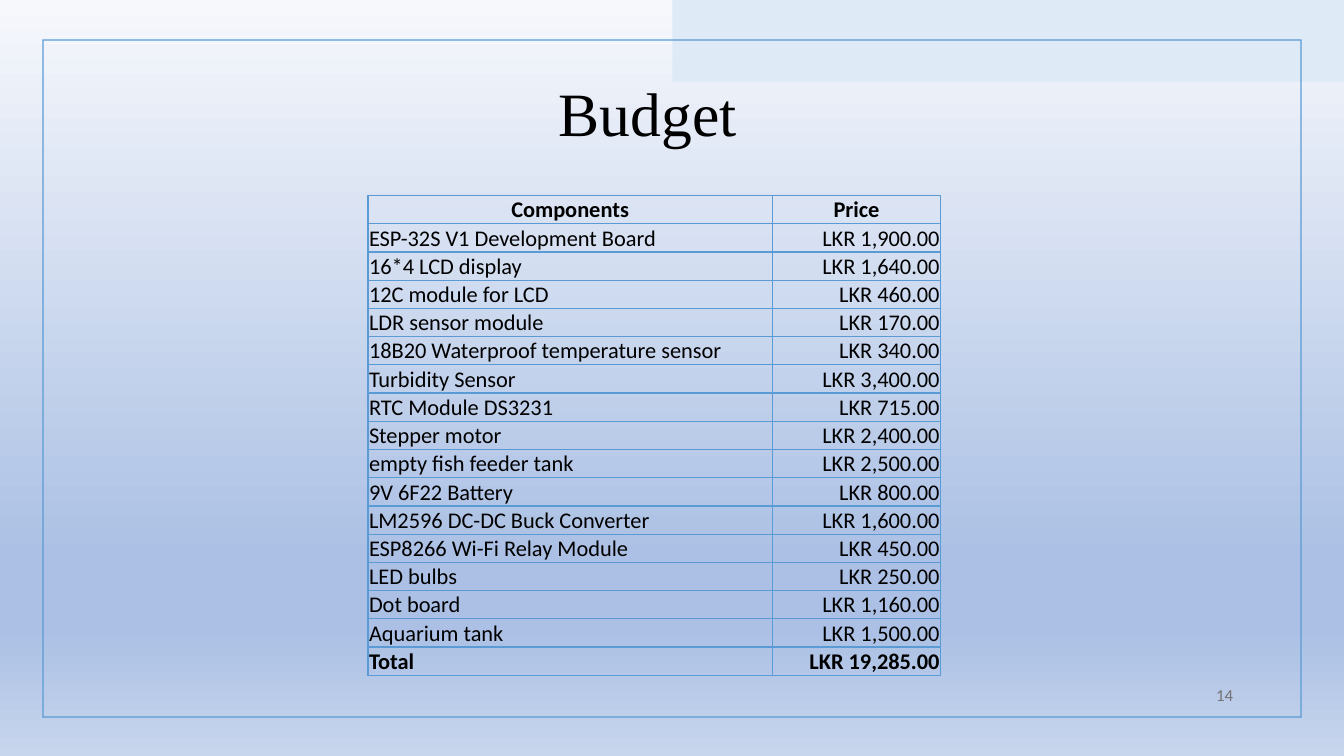
from pptx import Presentation
from pptx.dml.color import RGBColor
from pptx.enum.shapes import MSO_SHAPE
from pptx.enum.text import MSO_ANCHOR, MSO_AUTO_SIZE, PP_ALIGN
from pptx.oxml.ns import qn
from pptx.util import Inches, Pt
from lxml import etree

RECT, FRAME = MSO_SHAPE.RECTANGLE, MSO_SHAPE.FRAME
TOP, MIDDLE, BOTTOM = MSO_ANCHOR.TOP, MSO_ANCHOR.MIDDLE, MSO_ANCHOR.BOTTOM
LEFT, CENTER, RIGHT = PP_ALIGN.LEFT, PP_ALIGN.CENTER, PP_ALIGN.RIGHT
GROW = MSO_AUTO_SIZE.SHAPE_TO_FIT_TEXT
TITLE_ONLY = 5

BLACK = RGBColor(0x00, 0x00, 0x00)
GRAY = RGBColor(0x76, 0x71, 0x71)
BLUE = RGBColor(0x5B, 0x9B, 0xD5)
PALE_BLUE = RGBColor(0xDE, 0xEB, 0xF7)
BACKGROUND = [
    (0, RGBColor(0xF6, 0xF8, 0xFC)),
    (74, RGBColor(0xAB, 0xC0, 0xE4)),
    (83, RGBColor(0xAB, 0xC0, 0xE4)),
    (100, RGBColor(0xC7, 0xD5, 0xED)),
]

BUDGET = [
    ("Components", "Price"),
    ("ESP-32S V1 Development Board", "LKR 1,900.00"),
    ("16*4 LCD display", "LKR 1,640.00"),
    ("12C module for LCD", "LKR 460.00"),
    ("LDR sensor module", "LKR 170.00"),
    ("18B20 Waterproof temperature sensor", "LKR 340.00"),
    ("Turbidity Sensor", "LKR 3,400.00"),
    ("RTC Module DS3231", "LKR 715.00"),
    ("Stepper motor", "LKR 2,400.00"),
    ("empty fish feeder tank", "LKR 2,500.00"),
    ("9V 6F22 Battery", "LKR 800.00"),
    ("LM2596 DC-DC Buck Converter", "LKR 1,600.00"),
    ("ESP8266 Wi-Fi Relay Module", "LKR 450.00"),
    ("LED bulbs", "LKR 250.00"),
    ("Dot board", "LKR 1,160.00"),
    ("Aquarium tank", "LKR 1,500.00"),
    ("Total", "LKR 19,285.00"),
]


class SlideBuilder:
    heading_font = "Times New Roman"
    body_font = "Calibri"

    def __init__(self, prs):
        self.s = prs.slides.add_slide(prs.slide_layouts[TITLE_ONLY])

    def background(self, stops):
        fill = self.s.background.fill
        fill.gradient()
        fill.gradient_angle = 270
        stop_list = self.s._element.find(".//" + qn("a:gsLst"))
        for old in list(stop_list):
            stop_list.remove(old)
        for percent, color in stops:
            stop = etree.SubElement(stop_list, qn("a:gs"), pos=str(percent * 1000))
            etree.SubElement(stop, qn("a:srgbClr"), val=str(color))

    def shape(self, kind, x, y, w, h, color):
        sp = self.s.shapes.add_shape(kind, Inches(x), Inches(y), Inches(w), Inches(h))
        sp.shadow.inherit = False
        sp.fill.solid()
        sp.fill.fore_color.rgb = color
        sp.line.fill.background()
        return sp

    def set_text(self, tf, text, size, font, color, align, bold=False):
        tf.text = text
        p = tf.paragraphs[0]
        p.alignment = align
        r = p.runs[0]
        r.font.size = Pt(size)
        r.font.name = font
        r.font.bold = bold
        r.font.color.rgb = color

    def title(self, text, x, y, w, h):
        sp = self.s.shapes.title
        sp.left, sp.top, sp.width, sp.height = map(Inches, (x, y, w, h))
        tf = sp.text_frame
        self.set_text(tf, text, 44, self.heading_font, BLACK, LEFT)
        tf.paragraphs[0].line_spacing = 1.0
        tf.vertical_anchor = TOP
        tf.word_wrap = True
        tf.auto_size = GROW

    def slide_number(self, text, x, y, w, h):
        sp = self.s.shapes.add_textbox(Inches(x), Inches(y), Inches(w), Inches(h))
        tf = sp.text_frame
        tf.word_wrap = True
        tf.vertical_anchor = MIDDLE
        self.set_text(tf, text, 12, self.body_font, GRAY, RIGHT)

    def borders(self, cell, color):
        tc_pr = cell._tc.get_or_add_tcPr()
        for side in ("lnL", "lnR", "lnT", "lnB"):
            line = etree.SubElement(tc_pr, qn("a:" + side), w=str(int(Pt(1))))
            fill = etree.SubElement(line, qn("a:solidFill"))
            etree.SubElement(fill, qn("a:srgbClr"), val=str(color))

    def table(self, rows, x, y, widths, row_height):
        """Draw rows with a bold first and last row and right-aligned prices."""
        table = self.s.shapes.add_table(
            len(rows), len(widths), Inches(x), Inches(y),
            Inches(sum(widths)), Inches(row_height * len(rows))).table
        table.first_row = table.horz_banding = False
        for column, width in zip(table.columns, widths):
            column.width = Inches(width)
        last = len(rows) - 1
        for i, row in enumerate(rows):
            table.rows[i].height = Inches(row_height)
            for j, text in enumerate(row):
                cell = table.cell(i, j)
                align = CENTER if i == 0 else (LEFT, RIGHT)[j]
                self.set_text(cell.text_frame, text, 16, self.body_font, BLACK,
                              align, bold=i in (0, last))
                cell.vertical_anchor = BOTTOM
                cell.margin_left = cell.margin_right = cell.margin_top = Inches(0.01)
                cell.margin_bottom = 0
                self.borders(cell, BLUE)
                cell.fill.background()


def main():
    prs = Presentation()
    prs.slide_width, prs.slide_height = Inches(13.33), Inches(7.5)
    slide = SlideBuilder(prs)
    slide.background(BACKGROUND)
    slide.shape(RECT, 6.67, 0, 6.67, 0.81, PALE_BLUE)
    frame = slide.shape(FRAME, 0.42, 0.39, 12.49, 6.73, BLUE)
    frame.adjustments[0] = 0.002
    slide.slide_number("14", 9.33, 6.69, 3, 0.4)
    slide.table(BUDGET, 3.65, 1.94, (4.01, 1.67), 0.28)
    slide.title("Budget", 5.44, 0.69, 2.11, 0.84)
    prs.save("out.pptx")


if __name__ == "__main__":
    main()
